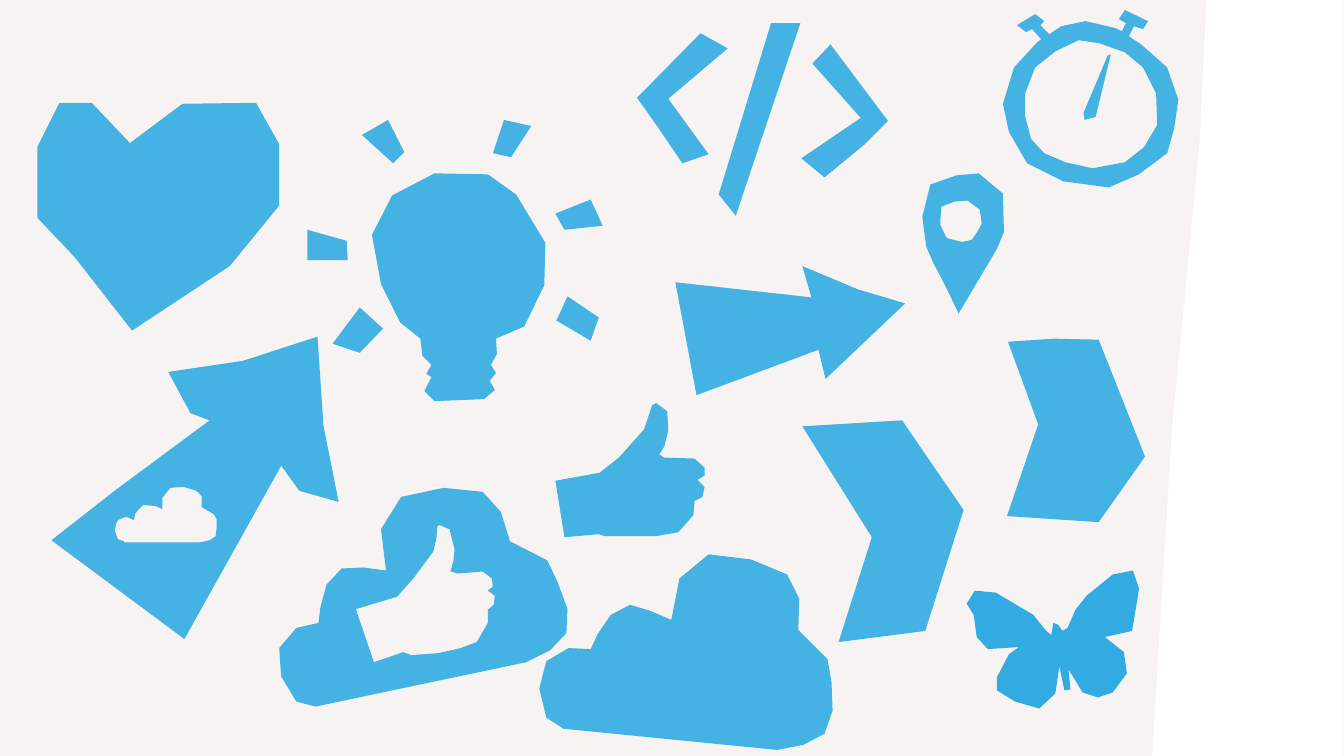
"""Build a slide of paper-cut icons beside a slanted white margin."""
import pptx
import pptx.dml.color
import pptx.oxml
import pptx.oxml.ns
import pptx.util

PAPER, WHITE, BLUE = "F7F3F3", "FFFFFF", "31ABE2"
UNIT = pptx.util.Pt(0.72)
PAGE = {"slide_width": pptx.util.Pt(960), "slide_height": pptx.util.Pt(540)}

MARGIN = ["1190,145 1197,0 1333,0 1333,750 1143,750 1163,423"]
HEART = ["37,146 59,102 91,102 129,142 181,103 254,102 277,143 277,204 228,264 131,328 74,255 37,216"]
BULB = [
    ["359,134 385,119 401,151 390,162"],
    ["500,119 527,125 507,156 489,152"],
    ["551,212 586,198 598,224 560,228"],
    ["305,228 344,239 345,258 305,258"],
    ["357,305 380,326 357,350 330,341"],
    ["563,294 594,315 586,338 552,318"],
    ["431,172 484,173 512,193 541,241 540,283 520,324 492,336 493,351 487,362 492,370 486,378 "
     "491,387 480,396 431,398 421,388 428,374 423,371 428,362 419,353 417,336 397,320 378,282 "
     "369,233 389,194"],
]
CODE_SIGN = [
    ["765,23 794,23 730,214 713,193"],
    ["806,63 824,44 881,120 858,143 818,176 795,157 854,117"],
    ["632,97 695,33 722,48 663,98 703,153 677,162 654,128"],
]
ARROW_WITH_CLOUD = [
    "182,483 169,484 161,494 161,505 154,502 142,501 137,506 134,510 133,516 126,513 124,513 "
    "117,516 115,520 114,527 117,535 123,537 123,538 199,538 208,536 214,532 215,523 215,515 "
    "212,510 205,506 200,503 200,492 195,487",
    "315,334 321,423 336,498 297,487 279,462 183,634 51,536 115,486 208,417 189,410 167,369 241,358",
]
CLOUD_WITH_THUMB = [
    "436,521 434,522 433,534 430,547 410,574 394,592 354,604 353,604 371,657 400,647 408,650 "
    "435,648 457,643 473,637 484,618 484,605 490,600 491,591 484,586 489,582 488,574 479,567 "
    "454,569 447,567 450,556 451,545 446,525",
    "440,484 479,488 497,508 506,537 543,556 553,577 563,604 562,628 546,645 522,657 313,701 "
    "294,696 279,671 277,643 294,623 316,618 318,602 324,580 339,564 360,563 383,566 378,525 398,493",
]
LOW_CHEVRON = ["796,423 895,417 956,506 918,626 832,637 865,533"]
HIGH_CHEVRON = ["1030,421 1000,339 1046,336 1090,337 1136,453 1090,518 999,512"]
RIGHT_ARROW = ["805,295 796,264 851,287 898,301 819,376 812,347 691,392 670,280"]
THUMB = [
    "594,530 560,533 551,477 595,469 614,454 639,426 643,414 647,402 651,400 662,408 663,427 "
    "659,443 654,451 659,454 689,455 699,464 699,472 692,476 699,483 697,493 689,497 688,511 "
    "673,528 651,532 600,532",
]
MAP_PIN = [
    "960,199 947,200 934,205 933,216 933,223 939,236 946,238 955,240 964,238 969,231 974,222 972,208",
    "971,172 995,192 996,230 989,247 951,311 940,288 933,274 926,261 919,245 915,215 923,183 949,174",
]
CLOUD = [
    "745,555 781,570 793,594 792,625 821,654 825,677 826,705 818,728 797,739 771,744 559,723 "
    "542,712 535,683 542,656 564,643 586,644 593,629 606,610 625,600 645,606 666,615 674,574 703,550",
]
STOPWATCH = [
    "1087,116 1102,54 1099,55 1075,112 1076,119",
    "1116,52 1134,67 1147,93 1148,124 1135,146 1116,161 1084,167 1057,161 1036,152 1023,138 "
    "1017,115 1017,93 1027,67 1047,51 1070,40 1091,43",
    "1132,44 1120,36 1125,26 1134,29 1139,21 1116,10 1110,19 1117,23 1113,31 1107,28 1077,21 "
    "1053,26 1041,34 1032,25 1036,21 1027,14 1009,25 1018,32 1024,29 1033,39 1029,42 1006,67 "
    "995,103 1001,131 1019,162 1055,180 1100,186 1130,173 1158,152 1165,127 1169,99 1158,67",
]
BUTTERFLY = [
    "967,586 988,588 1025,610 1038,626 1043,630 1045,618 1050,620 1054,626 1059,623 1067,605 "
    "1078,591 1104,570 1124,566 1130,584 1125,615 1123,626 1096,632 1115,647 1118,668 1104,687 "
    "1089,692 1074,687 1060,664 1062,684 1056,685 1051,661 1047,688 1031,703 1007,696 989,685 "
    "989,672 1001,649 1011,642 980,644 969,632 966,610 959,599",
]
ICONS = [
    ([MARGIN], WHITE, 100), ([HEART], BLUE, 90), (BULB, BLUE, 90), (CODE_SIGN, BLUE, 90),
    ([ARROW_WITH_CLOUD], BLUE, 90), ([CLOUD_WITH_THUMB], BLUE, 90), ([LOW_CHEVRON], BLUE, 90),
    ([HIGH_CHEVRON], BLUE, 90), ([RIGHT_ARROW], BLUE, 90), ([THUMB], BLUE, 90),
    ([MAP_PIN], BLUE, 90), ([CLOUD], BLUE, 90), ([STOPWATCH], BLUE, 90), ([BUTTERFLY], BLUE, 100),
]


def paint(fill, color):
    fill.solid()
    fill.fore_color.rgb = pptx.dml.color.RGBColor.from_string(color)


def cut_out(shapes, contours, color, opacity):
    outlines = [[tuple(map(int, point.split(","))) for point in contour.split()]
                for contour in contours]
    first, *others = outlines
    builder = shapes.build_freeform(*first[0], scale=UNIT)
    builder.add_line_segments(first[1:], close=True)
    for outline in others:
        builder.move_to(*outline[0])
        builder.add_line_segments(outline[1:], close=True)
    piece = builder.convert_to_shape()
    piece.shadow.inherit = False
    piece.line.fill.background()
    paint(piece.fill, color)
    if opacity < 100:
        tint = piece.element.xpath(".//a:solidFill/a:srgbClr")[0]
        alpha = pptx.oxml.parse_xml(
            f'<a:alpha {pptx.oxml.ns.nsdecls("a")} val="{opacity * 1000}"/>')
        tint.append(alpha)


def main():
    deck = pptx.Presentation()
    for name, value in PAGE.items():
        setattr(deck, name, value)
    slide = deck.slides.add_slide(deck.slide_layouts[6])
    paint(slide.background.fill, PAPER)
    for pieces, color, opacity in ICONS:
        shapes = slide.shapes if len(pieces) == 1 else slide.shapes.add_group_shape().shapes
        for contours in pieces:
            cut_out(shapes, contours, color, opacity)
    deck.save("out.pptx")


if __name__ == "__main__":
    main()
